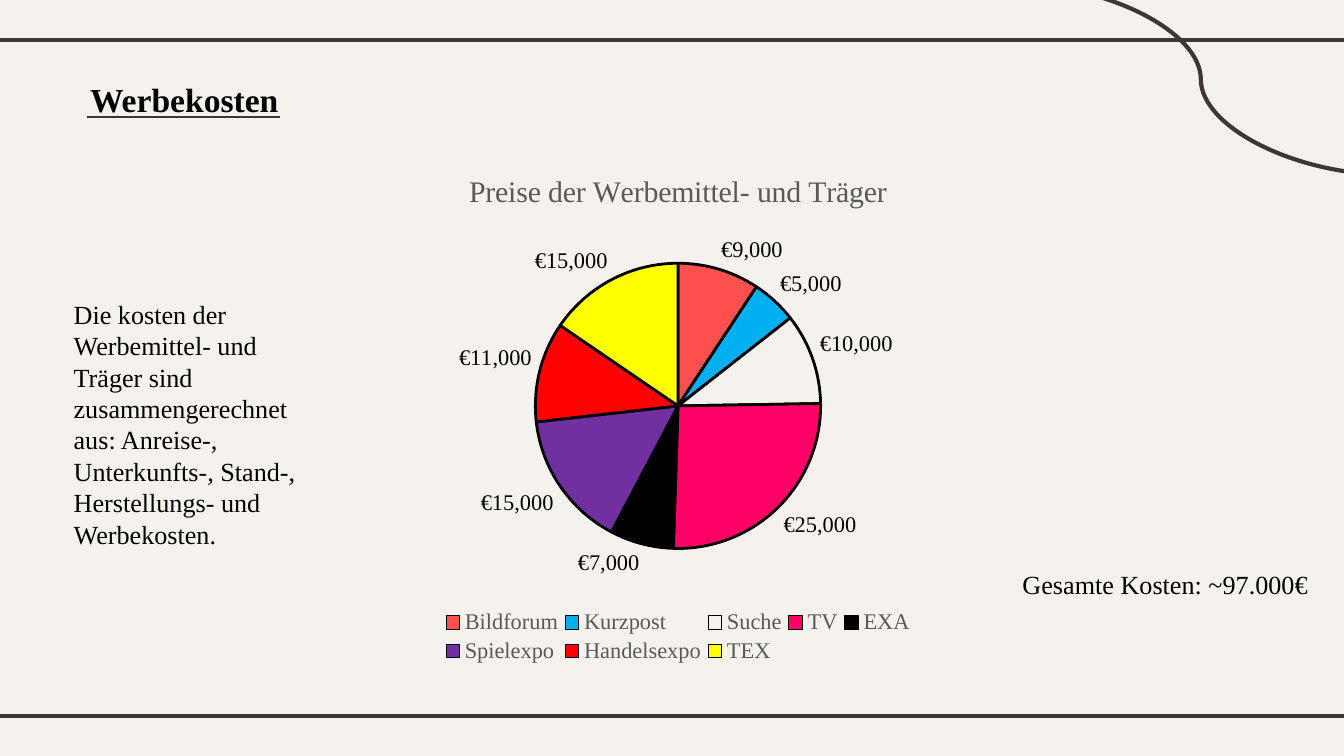
from pptx import Presentation
from pptx.chart.data import CategoryChartData
from pptx.dml.color import RGBColor
from pptx.enum.chart import XL_CHART_TYPE as ChartType, XL_LABEL_POSITION as LabelPos, XL_LEGEND_POSITION as LegendPos
from pptx.enum.shapes import MSO_CONNECTOR as Connector
from pptx.enum.text import MSO_ANCHOR as Anchor
from pptx.oxml import parse_xml
from pptx.oxml.ns import nsdecls, qn
from pptx.util import Inches, Pt

SERIF = "Times New Roman"
PAPER, INK, BLACK, GREY = "F5F2EE", "3F3533", "000000", "595959"


def color(hex_code):
    return RGBColor.from_string(hex_code)


def style(font, size, hex_code, bold=False):
    font.name, font.size, font.bold = SERIF, Pt(size), bold
    font.color.rgb = color(hex_code)


prs = Presentation()
prs.slide_width, prs.slide_height = Inches(10), Inches(5.625)
slide = prs.slides.add_slide(prs.slide_layouts[5])
shapes = slide.shapes
slide.background.fill.solid()
slide.background.fill.fore_color.rgb = color(PAPER)

# Frame rules, corner curve and title underline
for kind, x1, y1, x2, y2, weight in (
    (Connector.STRAIGHT, -0.08, 0.3, 10.08, 0.3, 2.25),
    (Connector.STRAIGHT, -0.08, 5.33, 10.08, 5.33, 2.25),
    (Connector.CURVE, 7.53, -0.12, 10.34, 1.3, 2.25),
    (Connector.STRAIGHT, 0.65, 0.87, 2.08, 0.87, 0.75),
):
    rule = shapes.add_connector(kind, Inches(x1), Inches(y1), Inches(x2), Inches(y2))
    rule.line.color.rgb = color(INK)
    rule.line.width = Pt(weight)
    rule._element.spPr.append(parse_xml(f"<a:effectLst {nsdecls('a')}/>"))

# Title
heading = shapes.title
heading.left, heading.top, heading.width, heading.height = map(Inches, (0.57, 0.49, 5.15, 0.63))
frame = heading.text_frame
frame.text = "Werbekosten"
frame.vertical_anchor = Anchor.TOP
frame.margin_left = frame.margin_top = frame.margin_right = frame.margin_bottom = Inches(0.1)
frame.paragraphs[0].alignment = 1
style(frame.paragraphs[0].font, 18, BLACK, bold=True)

# Explanation and total
for words, box in (
    ("Die kosten der Werbemittel- und Träger sind zusammengerechnet aus: Anreise-, "
     "Unterkunfts-, Stand-, Herstellungs- und Werbekosten.", (0.45, 2.17, 1.97, 1.99)),
    ("Gesamte Kosten: ~97.000€", (7.51, 4.18, 2.37, 0.34)),
):
    note = shapes.add_textbox(*map(Inches, box)).text_frame
    note.word_wrap = True
    note.text = words
    style(note.paragraphs[0].font, 14, BLACK)

# Cost pie: channel, price, slice colour
costs = [
    ("Bildforum", 9000, "FF5050"),
    ("Kurzpost", 5000, "00B0F0"),
    ("Suche", 10000, PAPER),
    ("TV", 25000, "FF0066"),
    ("EXA", 7000, BLACK),
    ("Spielexpo", 15000, "7030A0"),
    ("Handelsexpo", 11000, "FF0000"),
    ("TEX", 15000, "FFFF00"),
]
channels, prices, slice_colors = zip(*costs)
cost_data = CategoryChartData()
cost_data.categories = channels
cost_data.add_series("Series 1", prices)
chart = shapes.add_chart(ChartType.PIE, *map(Inches, (2.08, 1.11, 5.93, 3.86)), cost_data).chart
style(chart.font, 12, BLACK)
chart.has_title = True
caption = chart.chart_title.text_frame
caption.text = "Preise der Werbemittel- und Träger"
style(caption.paragraphs[0].font, 16, GREY)

pie = chart.plots[0]
pie.vary_by_categories = True
for index, hex_code in enumerate(slice_colors):
    wedge = pie.series[0].points[index].format
    wedge.fill.solid()
    wedge.fill.fore_color.rgb = color(hex_code)
    wedge.line.color.rgb = color(BLACK)
    wedge.line.width = Pt(1.5)

pie.has_data_labels = True
price_labels = pie.data_labels
price_labels.show_value, price_labels.show_percentage = True, False
price_labels.number_format, price_labels.number_format_is_linked = '"€"#,##0', False
price_labels.position = LabelPos.OUTSIDE_END
style(price_labels.font, 12, BLACK)

chart.has_legend = True
chart.legend.position = LegendPos.BOTTOM
chart.legend.include_in_layout = False
style(chart.legend.font, 12, GREY)

# Pie and legend places, as shares of the chart
plot_area = chart._chartSpace.chart.plotArea
for auto_layout in plot_area.findall(qn("c:layout")):
    plot_area.remove(auto_layout)
for part, slot, target, shares in (
    (plot_area, 0, '<c:layoutTarget val="inner"/>', (0.32, 0.22, 0.36, 0.55)),
    (chart.legend._element, 1, "", (0.2, 0.88, 0.6, 0.12)),
):
    x, y, w, h = shares
    part.insert(slot, parse_xml(
        f'<c:layout {nsdecls("c")}><c:manualLayout>{target}'
        '<c:xMode val="edge"/><c:yMode val="edge"/>'
        f'<c:x val="{x}"/><c:y val="{y}"/><c:w val="{w}"/><c:h val="{h}"/>'
        '</c:manualLayout></c:layout>'))

prs.save("out.pptx")
